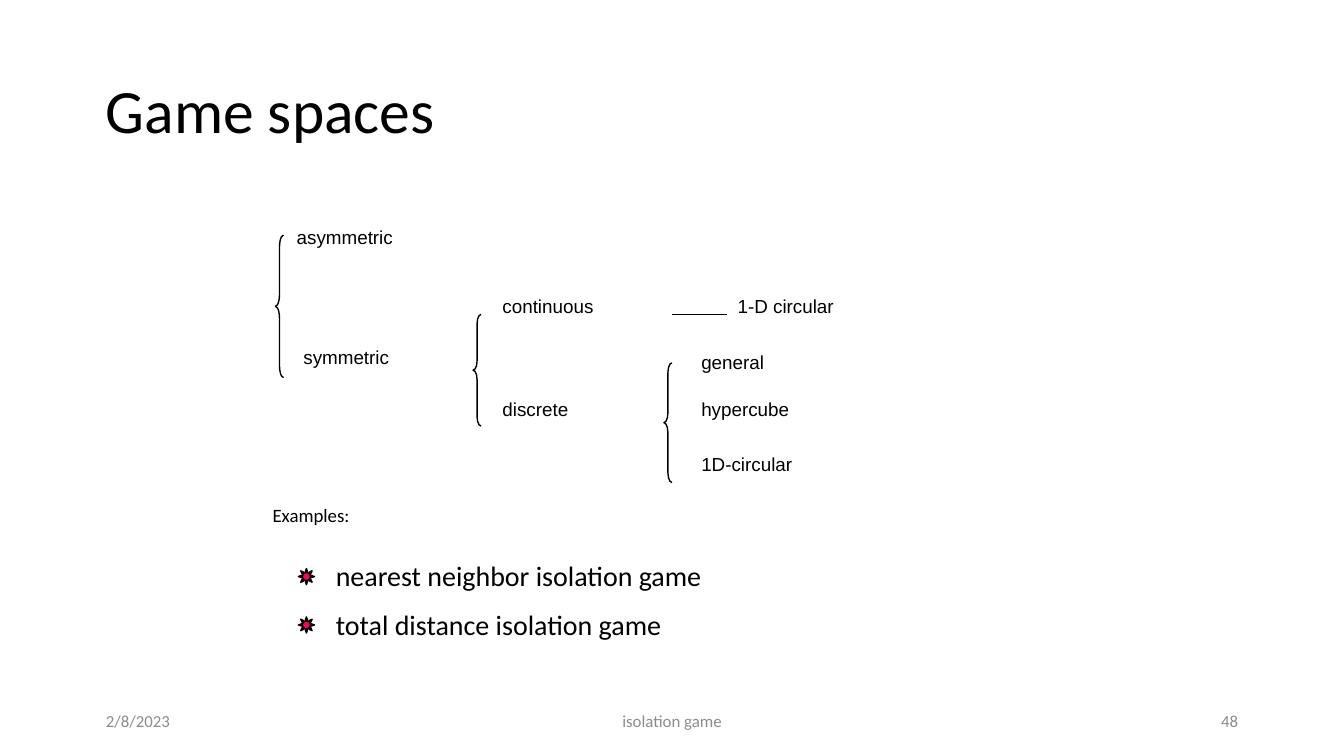
"""Build the slide that classifies game spaces and names two example games."""
import pptx
import pptx.dml.color
import pptx.enum.shapes
import pptx.enum.text
import pptx.oxml
import pptx.util
from pptx.util import Inches

BLACK = pptx.dml.color.RGBColor(0x00, 0x00, 0x00)
GRAY = pptx.dml.color.RGBColor(0x8C, 0x8C, 0x8C)
PINK = pptx.dml.color.RGBColor(0xFF, 0x00, 0x66)
WHITE = pptx.dml.color.RGBColor(0xFF, 0xFF, 0xFF)
ALIGN = pptx.enum.text.PP_ALIGN
ANCHOR = pptx.enum.text.MSO_ANCHOR
SHAPE = pptx.enum.shapes.MSO_SHAPE

presentation = pptx.Presentation()
presentation.slide_width = Inches(10)
presentation.slide_height = Inches(10 * 9 / 16)
slide = presentation.slides.add_slide(presentation.slide_layouts[6])
slide.background.fill.solid()
slide.background.fill.fore_color.rgb = WHITE


def add_text(text, left, top, width, height, size, font="Calibri", color=BLACK,
             align=ALIGN.LEFT, anchor=ANCHOR.TOP):
    box = slide.shapes.add_textbox(Inches(left), Inches(top), Inches(width), Inches(height))
    text_frame = box.text_frame
    text_frame.word_wrap = True
    text_frame.vertical_anchor = anchor
    text_frame.text = text
    paragraph = text_frame.paragraphs[0]
    paragraph.alignment = align
    run_font = paragraph.runs[0].font
    run_font.name = font
    run_font.size = pptx.util.Pt(size)
    run_font.color.rgb = color
    return paragraph


def add_outlined_shape(kind, left, top, width, height, adjustment):
    shape = slide.shapes.add_shape(kind, Inches(left), Inches(top), Inches(width), Inches(height))
    shape.shadow.inherit = False
    shape.adjustments[0] = adjustment
    shape.line.color.rgb = BLACK
    shape.line.width = pptx.util.Pt(0.75)
    return shape


title = add_text("Game spaces", 0.69, 0.3, 8.62, 1.09, 33, anchor=ANCHOR.MIDDLE)
title.line_spacing = 0.9

for text, left, width, align in [
    ("2/8/2023", 0.69, 2.25, ALIGN.LEFT),
    ("isolation game", 3.31, 3.38, ALIGN.CENTER),
    ("48", 7.06, 2.25, ALIGN.RIGHT),
]:
    add_text(text, left, 5.21, width, 0.3, 9, color=GRAY, align=align, anchor=ANCHOR.MIDDLE)

for left, top, height, curve in [
    (2.05, 1.75, 1.06, 1.51),
    (3.52, 2.34, 0.83, 1.15),
    (4.94, 2.7, 0.89, 1.23),
]:
    brace = add_outlined_shape(SHAPE.LEFT_BRACE, left, top, 0.06, height, curve)
    brace.fill.background()

for text, left, top, width in [
    ("asymmetric", 2.11, 1.63, 1.83),
    ("symmetric", 2.16, 2.52, 1.36),
    ("continuous", 3.64, 2.14, 1.42),
    ("discrete", 3.64, 2.91, 1.24),
    ("general", 5.12, 2.56, 1.83),
    ("hypercube", 5.12, 2.91, 1.83),
    ("1D-circular", 5.12, 3.32, 1.83),
    ("1-D circular", 5.39, 2.14, 1.79),
]:
    add_text(text, left, top, width, 0.27, 10.1, font="Arial")

connector = slide.shapes.add_connector(
    pptx.enum.shapes.MSO_CONNECTOR.STRAIGHT,
    Inches(5), Inches(2.34), Inches(5.41), Inches(2.34))
connector.line.color.rgb = BLACK
connector.line.width = pptx.util.Pt(0.75)
connector.element.spPr.append(pptx.oxml.parse_xml(
    '<a:effectLst xmlns:a="http://schemas.openxmlformats.org/drawingml/2006/main"/>'))

add_text("Examples:", 1.93, 3.7, 1.36, 0.27, 10.1)

examples = ["nearest neighbor isolation game", "total distance isolation game"]
for row, example in enumerate(examples):
    top = 4.11 + row * 0.36
    sun = add_outlined_shape(SHAPE.SUN, 2.22, top + 0.12, 0.12, 0.12, 0.25)
    sun.fill.solid()
    sun.fill.fore_color.rgb = PINK
    add_text(example, 2.4, top, 3.25, 0.35, 15)

presentation.save("out.pptx")
